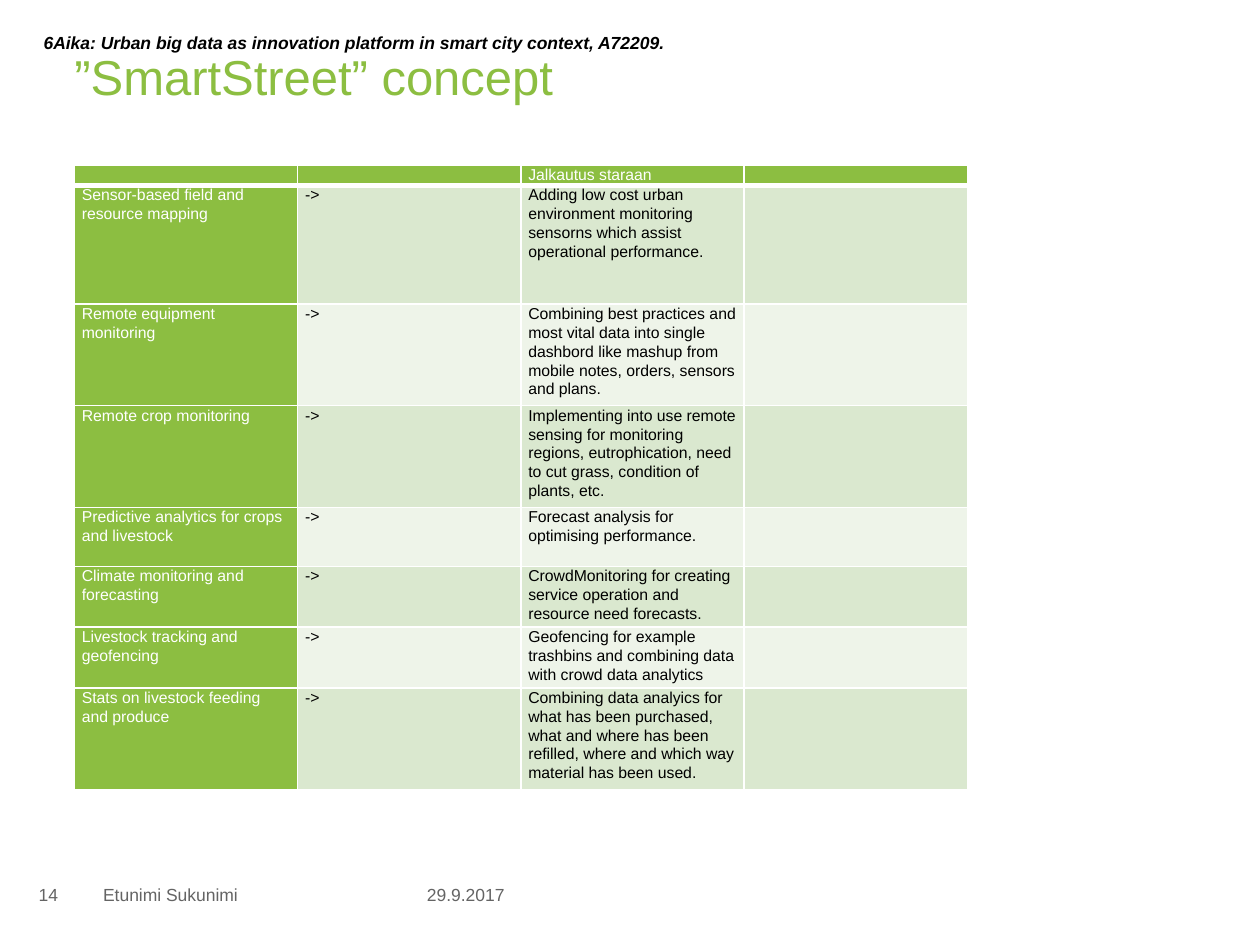
import pptx
import pptx.dml.color
import pptx.enum.text
import pptx.oxml
import pptx.oxml.ns
import pptx.util
from pptx.dml.color import RGBColor
from pptx.util import Cm

GREEN = RGBColor(0x8C, 0xBE, 0x41)
BAND_DARK = RGBColor(0xDA, 0xE8, 0xCF)
BAND_LIGHT = RGBColor(0xEE, 0xF4, 0xE9)
WHITE = RGBColor(0xFF, 0xFF, 0xFF)
BLACK = RGBColor(0, 0, 0)
GREY = RGBColor(0x64, 0x64, 0x64)

FONT = "Arial"
ALIGN = pptx.enum.text.PP_ALIGN
ANCHOR = pptx.enum.text.MSO_ANCHOR
NS = pptx.oxml.ns.nsdecls("a")

HEADER = ["", "", "Jalkautus staraan", ""]
PRACTICES = [
    ("Sensor-based field and resource mapping", 2.39,
     "Adding low cost urban environment monitoring sensorns which assist "
     "operational performance."),
    ("Remote equipment monitoring", 2.05,
     "Combining best practices and most vital data into single dashbord like "
     "mashup from mobile notes, orders, sensors and plans."),
    ("Remote crop monitoring", 2.05,
     "Implementing into use remote sensing for monitoring regions, "
     "eutrophication, need to cut grass, condition of plants, etc."),
    ("Predictive analytics for crops and livestock", 1.19,
     "Forecast analysis for optimising performance."),
    ("Climate monitoring and forecasting", 1.22,
     "CrowdMonitoring for creating service operation and resource need "
     "forecasts."),
    ("Livestock tracking and geofencing", 1.22,
     "Geofencing for example trashbins and combining data with crowd data "
     "analytics"),
    ("Stats on livestock feeding and produce", 2.05,
     "Combining data analyics for what has been purchased, what and where has "
     "been refilled, where and which way material has been used."),
]


def set_all(obj, values):
    for name, value in values.items():
        setattr(obj, name, value)


def write(p, text, size, color, **font):
    r = p.add_run()
    r.text = text
    set_all(r.font, {"name": FONT, "size": pptx.util.Pt(size), **font})
    r.font.color.rgb = color


def add_title(s, text):
    title = s.shapes.title
    set_all(title, {"left": Cm(1.5), "top": Cm(0.91),
                    "width": Cm(22.4), "height": Cm(1.22)})
    tf = title.text_frame
    set_all(tf, {"margin_left": 0, "margin_top": 0, "margin_right": 0,
                 "margin_bottom": 0, "vertical_anchor": ANCHOR.BOTTOM,
                 "auto_size": pptx.enum.text.MSO_AUTO_SIZE.NONE})
    p = tf.paragraphs[0]
    p.alignment = ALIGN.LEFT
    write(p, text, 28, GREEN)


def add_label(s, text, box, color, frame, align=ALIGN.LEFT, **font):
    tf = s.shapes.add_textbox(*[Cm(v) for v in box]).text_frame
    set_all(tf, {"word_wrap": True, **frame})
    p = tf.paragraphs[0]
    p.alignment = align
    write(p, text, 10, color, **font)


def set_borders(cell, bottom):
    tcPr = cell._tc.get_or_add_tcPr()
    widths = {"lnL": 1, "lnR": 1, "lnT": 1, "lnB": bottom}
    for i, (side, width) in enumerate(widths.items()):
        tcPr.insert(i, pptx.oxml.parse_xml(
            f'<a:{side} {NS} w="{width * 12700}"><a:solidFill>'
            f'<a:srgbClr val="{WHITE}"/></a:solidFill></a:{side}>'))


def fill_cell(cell, text, fill, color, bottom):
    set_all(cell, {"margin_left": Cm(0.15), "margin_right": Cm(0.15),
                   "margin_top": 0, "margin_bottom": 0})
    cell.fill.solid()
    cell.fill.fore_color.rgb = fill
    set_borders(cell, bottom)
    p = cell.text_frame.paragraphs[0]
    p.line_spacing = 1.07
    if text:
        write(p, text, 9, color)
    else:
        p._p.append(pptx.oxml.parse_xml(f'<a:endParaRPr {NS} sz="900"/>'))


def add_practice_table(s):
    rows = [HEADER] + [[name, "->", use, ""] for name, _, use in PRACTICES]
    heights = [0.4] + [height for _, height, _ in PRACTICES]
    table = s.shapes.add_table(len(rows), len(HEADER), Cm(1.5), Cm(3.33),
                               Cm(18), Cm(sum(heights))).table
    for col in table.columns:
        col.width = Cm(4.5)
    for i, (row, height) in enumerate(zip(rows, heights)):
        table.rows[i].height = Cm(height)
        band = BAND_DARK if i % 2 else BAND_LIGHT
        for j, text in enumerate(row):
            heading = i == 0 or j == 0
            fill_cell(table.cell(i, j), text, GREEN if heading else band,
                      WHITE if heading else BLACK, 1 if i else 3)


def main():
    prs = pptx.Presentation()
    set_all(prs, {"slide_width": Cm(25.4), "slide_height": Cm(19.05)})
    s = prs.slides.add_slide(prs.slide_layouts[5])
    add_title(s, "”SmartStreet” concept")
    middle = {"vertical_anchor": ANCHOR.MIDDLE}
    add_label(s, "29.9.2017", (7.42, 17.53, 3, 1), GREY, middle, ALIGN.RIGHT)
    add_label(s, "Etunimi Sukunimi", (1.83, 17.53, 5.5, 1), GREY,
              {"margin_right": 0, **middle})
    add_label(s, "14", (0.53, 17.53, 1.2, 1), GREY, middle)
    add_label(s, "6Aika: Urban big data as innovation platform in smart city "
              "context, A72209.", (0.53, 0.53, 22.9, 1.12), BLACK,
              {"margin_left": Cm(0.35)}, bold=True, italic=True)
    add_practice_table(s)
    prs.save("out.pptx")


if __name__ == "__main__":
    main()
